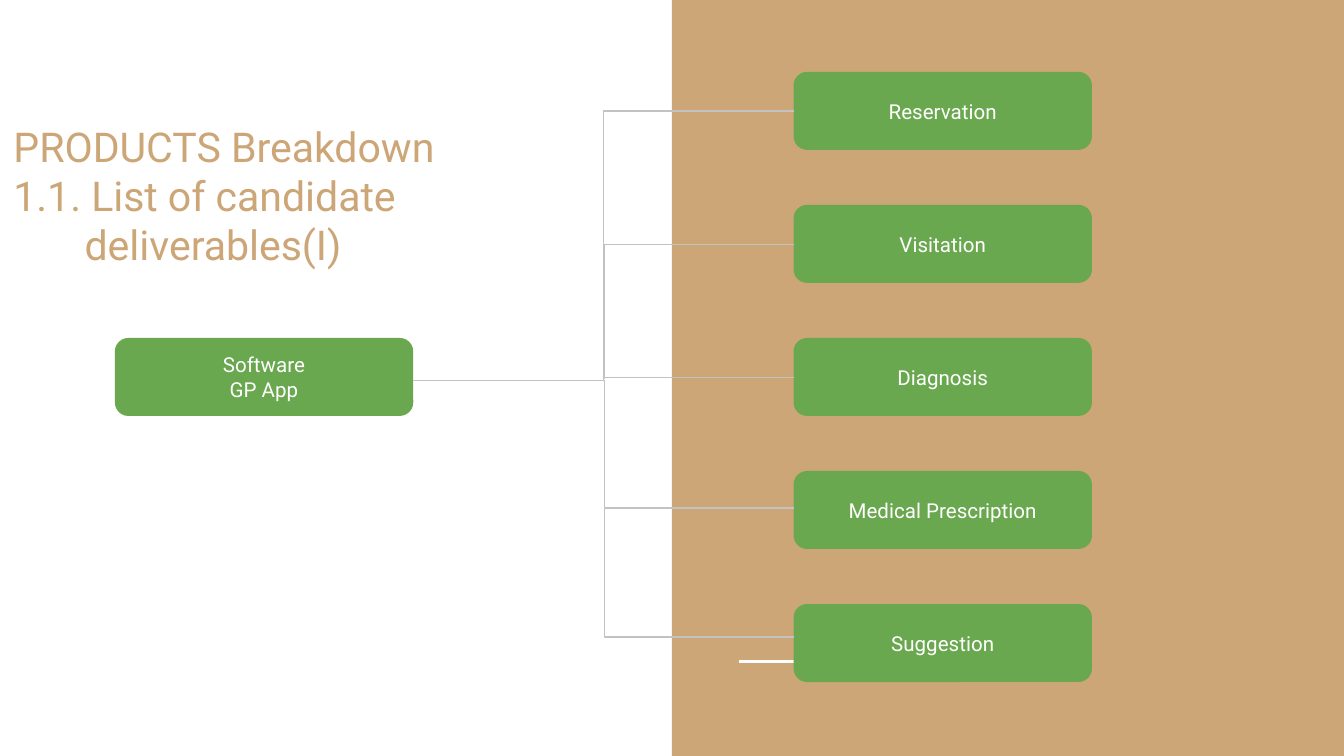
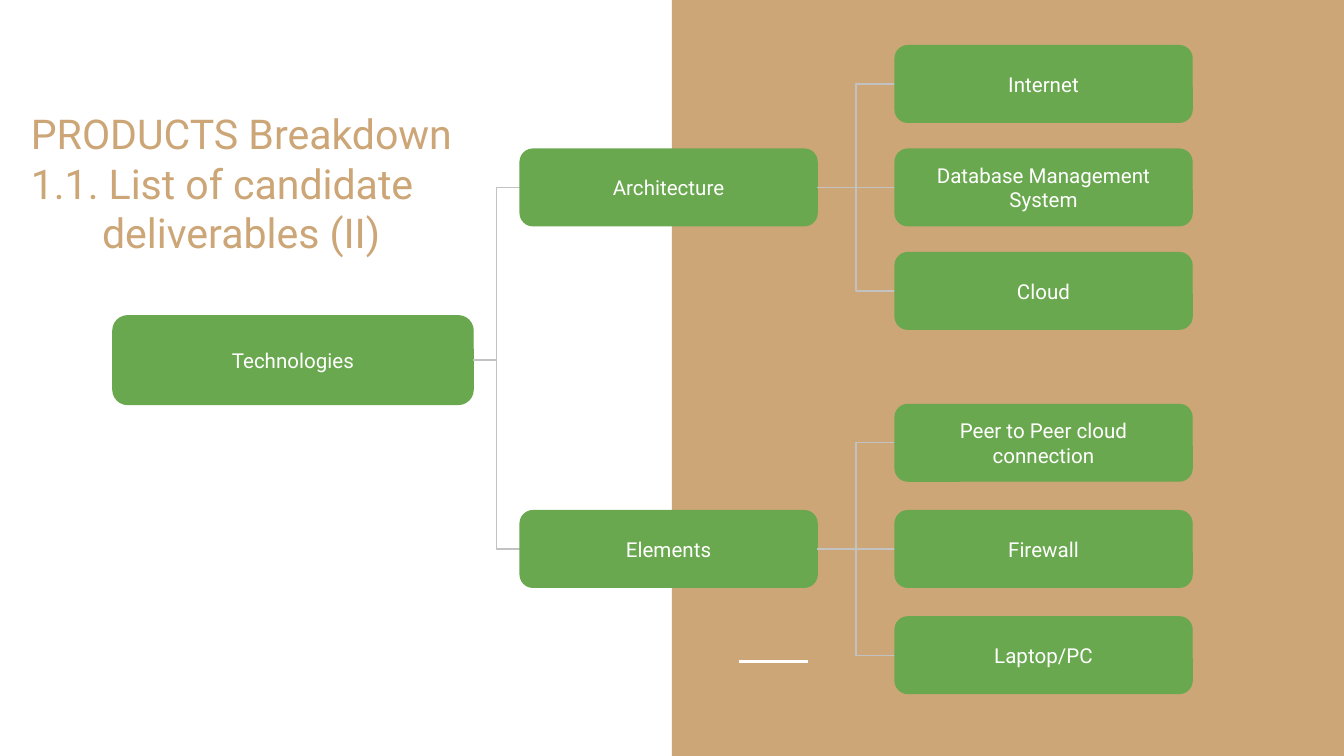
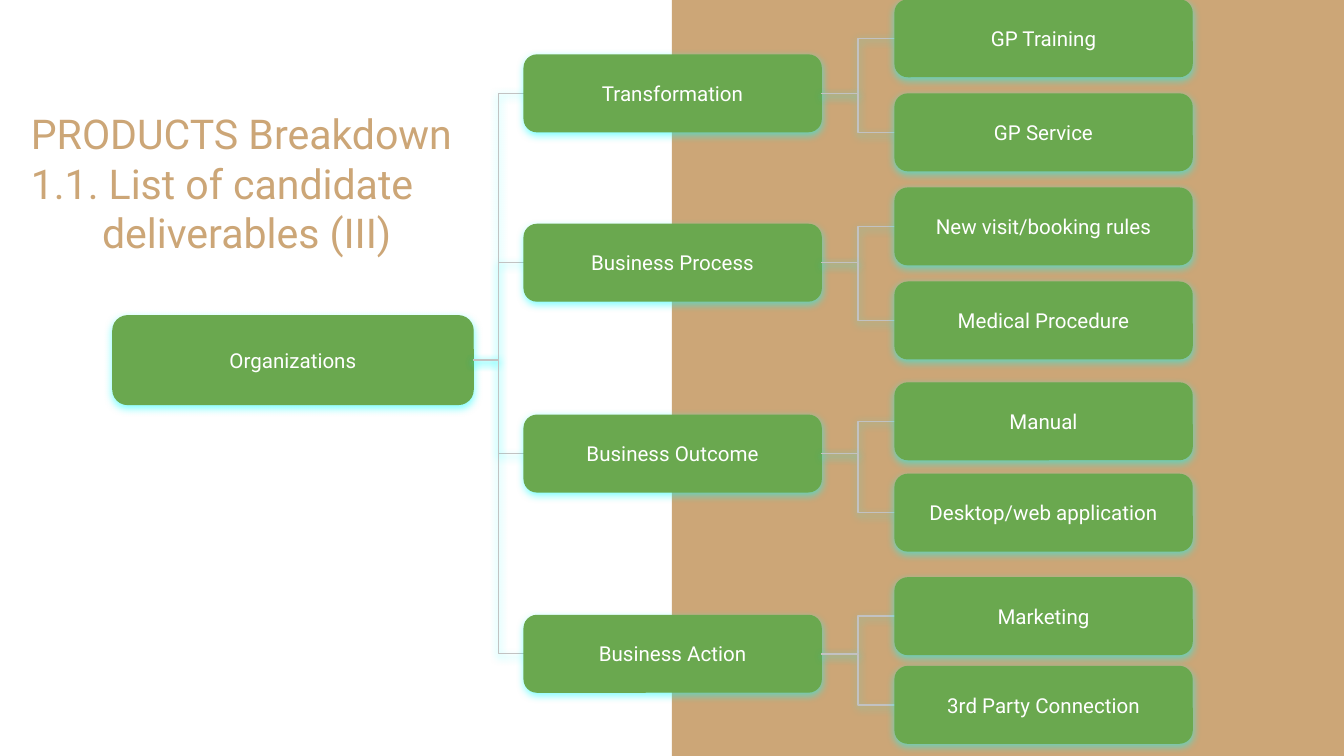
from dataclasses import dataclass

from lxml import etree
from pptx import Presentation
from pptx.dml.color import RGBColor
from pptx.enum.shapes import MSO_CONNECTOR as Connector, MSO_SHAPE as Preset
from pptx.enum.text import MSO_ANCHOR as Anchor, MSO_AUTO_SIZE as AutoSize, PP_ALIGN as Align
from pptx.oxml.ns import qn
from pptx.util import Inches, Pt


@dataclass(frozen=True)
class Theme:
    font: str = "Roboto"
    tan: str = "CCA677"
    green: str = "6AA84F"
    gray: str = "C2C2C2"
    white: str = "FFFFFF"
    cyan: str = "00FFFF"
    title_size: float = 22
    box_size: float = 11
    thin: float = 0.75
    thick: float = 1.5


@dataclass(frozen=True)
class Box:
    left: float
    top: float
    width: float = 2.21
    height: float = 0.57

    @property
    def middle(self):
        return self.top + self.height / 2

    @property
    def entry(self):
        return self.left, self.middle

    @property
    def exit(self):
        return self.left + self.width, self.middle


THEME = Theme()
SLIDE_WIDTH = 10
SLIDE_HEIGHT = SLIDE_WIDTH * 9 / 16
ROOT = Box(0.84, 2.35, 2.68, 0.66)
LEAF_LEFT = 6.66

TECHNOLOGIES = [
    ("Architecture", 1.11, [("Internet", 0.34), ("Database Management System", 1.11), ("Cloud", 1.88)]),
    ("Elements", 3.8, [("Peer to Peer cloud connection", 3.01), ("Firewall", 3.8), ("Laptop/PC", 4.59)]),
]
ORGANIZATIONS = [
    ("Transformation", 0.41, [("GP Training", 0), ("GP Service", 0.7)]),
    ("Business Process", 1.67, [("New visit/booking rules", 1.4), ("Medical Procedure", 2.1)]),
    ("Business Outcome", 3.09, [("Manual", 2.85), ("Desktop/web application", 3.53)]),
    ("Business Action", 4.58, [("Marketing", 4.3), ("3rd Party Connection", 4.96)]),
]


def rgb(color):
    return RGBColor.from_string(color)


def set_shadow(properties, glow):
    effects = etree.SubElement(properties, qn("a:effectLst"))
    if glow:
        shadow = etree.SubElement(effects, qn("a:outerShdw"), blurRad=str(Pt(4.5)),
                                  dist=str(Pt(1.5)), dir="5400000", algn="bl", rotWithShape="0")
        color = etree.SubElement(shadow, qn("a:srgbClr"), val=THEME.cyan)
        etree.SubElement(color, qn("a:alpha"), val="50000")
    return effects


def write_text(shape, text, *, size, color, align=Align.LEFT, anchor=Anchor.MIDDLE, glow=False):
    frame = shape.text_frame
    frame.text = text
    frame.word_wrap = True
    frame.auto_size = AutoSize.NONE
    frame.vertical_anchor = anchor
    frame.margin_left = frame.margin_right = Inches(0.1)
    frame.margin_top = frame.margin_bottom = Inches(0.1)
    for paragraph in frame.paragraphs:
        paragraph.alignment = align
        for run in paragraph.runs:
            run.font.name = THEME.font
            run.font.size = Pt(size)
            run.font.color.rgb = rgb(color)
            if glow:
                properties = run._r.get_or_add_rPr()
                properties.find(qn("a:solidFill")).addnext(set_shadow(properties, glow))


def add_line(slide, kind, begin, end, color, width, glow=False):
    line = slide.shapes.add_connector(kind, *map(Inches, begin + end))
    line.line.color.rgb = rgb(color)
    line.line.width = Pt(width)
    set_shadow(line.element.spPr, glow)
    return line


def add_elbow(slide, begin, end, bend=0.5, glow=False):
    elbow = add_line(slide, Connector.ELBOW, begin, end, THEME.gray, THEME.thin, glow)
    geometry = elbow.element.spPr.find(qn("a:prstGeom"))
    etree.SubElement(geometry.find(qn("a:avLst")), qn("a:gd"),
                     name="adj1", fmla=f"val {round(bend * 100000)}")


def add_box(slide, text, box, glow=False):
    shape = slide.shapes.add_shape(
        Preset.ROUNDED_RECTANGLE, *map(Inches, (box.left, box.top, box.width, box.height)))
    shape.fill.solid()
    shape.fill.fore_color.rgb = rgb(THEME.green)
    shape.line.color.rgb = rgb(THEME.green)
    shape.line.width = Pt(THEME.thin)
    set_shadow(shape.element.spPr, glow)
    write_text(shape, text, size=THEME.box_size, color=THEME.white, align=Align.CENTER)


def add_background(slide):
    half = SLIDE_WIDTH / 2
    band = slide.shapes.add_shape(Preset.RECTANGLE, *map(Inches, (half, 0, half, SLIDE_HEIGHT)))
    band.fill.solid()
    band.fill.fore_color.rgb = rgb(THEME.tan)
    band.line.fill.background()
    set_shadow(band.element.spPr, False)
    dash = add_line(slide, Connector.STRAIGHT, (5.5, 4.92), (6.01, 4.92), THEME.white, THEME.thick)
    for shape in (band, dash):
        slide.slide_layout.shapes.element.append(shape.element)


def add_title(slide, ending, left, top, glow=False):
    title = slide.shapes.title
    title.left, title.top, title.width, title.height = map(Inches, (left, top, 4.28, 1.94))
    write_text(title, f"PRODUCTS Breakdown\n1.1. List of candidate\n{ending}",
               size=THEME.title_size, color=THEME.tan, anchor=Anchor.BOTTOM, glow=glow)
    last_line = title.text_frame.paragraphs[-1]._p.get_or_add_pPr()
    last_line.set("marL", str(Inches(0.53)))


def add_tree(slide, root_text, branches, branch_left, glow=False):
    add_box(slide, root_text, ROOT, glow)
    for branch_text, branch_top, leaves in branches:
        branch = Box(branch_left, branch_top)
        add_elbow(slide, ROOT.exit, branch.entry, glow=glow)
        add_box(slide, branch_text, branch, glow)
        for leaf_text, leaf_top in leaves:
            leaf = Box(LEAF_LEFT, leaf_top)
            add_elbow(slide, branch.exit, leaf.entry, glow=glow)
            add_box(slide, leaf_text, leaf, glow)


def add_software_tree(slide):
    software = Box(0.86, 2.52)
    add_box(slide, "Software\nGP App", software)
    products = ["Reservation", "Visitation", "Diagnosis", "Medical Prescription", "Suggestion"]
    boxes = [Box(5.91, 0.54 + 0.99 * row) for row in range(len(products))]
    for product, box in zip(products, boxes):
        add_box(slide, product, box)
    add_elbow(slide, (3.07, 2.83), boxes[0].entry)
    for product_y, trunk_y in [(1.82, 2.82), (2.81, 2.82), (3.78, 2.83), (4.74, 3.79)]:
        add_elbow(slide, (5.91, product_y), (4.5, trunk_y), bend=1)


def main():
    presentation = Presentation()
    presentation.slide_width = Inches(SLIDE_WIDTH)
    presentation.slide_height = Inches(SLIDE_HEIGHT)
    layout = presentation.slide_layouts[5]
    software, technologies, organizations = [presentation.slides.add_slide(layout) for _ in range(3)]
    add_background(software)

    add_title(software, "deliverables(I)", 0, 0.16)
    add_software_tree(software)

    add_title(technologies, "deliverables (II)", 0.13, 0.07)
    add_tree(technologies, "Technologies", TECHNOLOGIES, 3.87)

    add_title(organizations, "deliverables (III)", 0.13, 0.07, glow=True)
    add_tree(organizations, "Organizations", ORGANIZATIONS, 3.9, glow=True)

    presentation.save("out.pptx")


if __name__ == "__main__":
    main()
